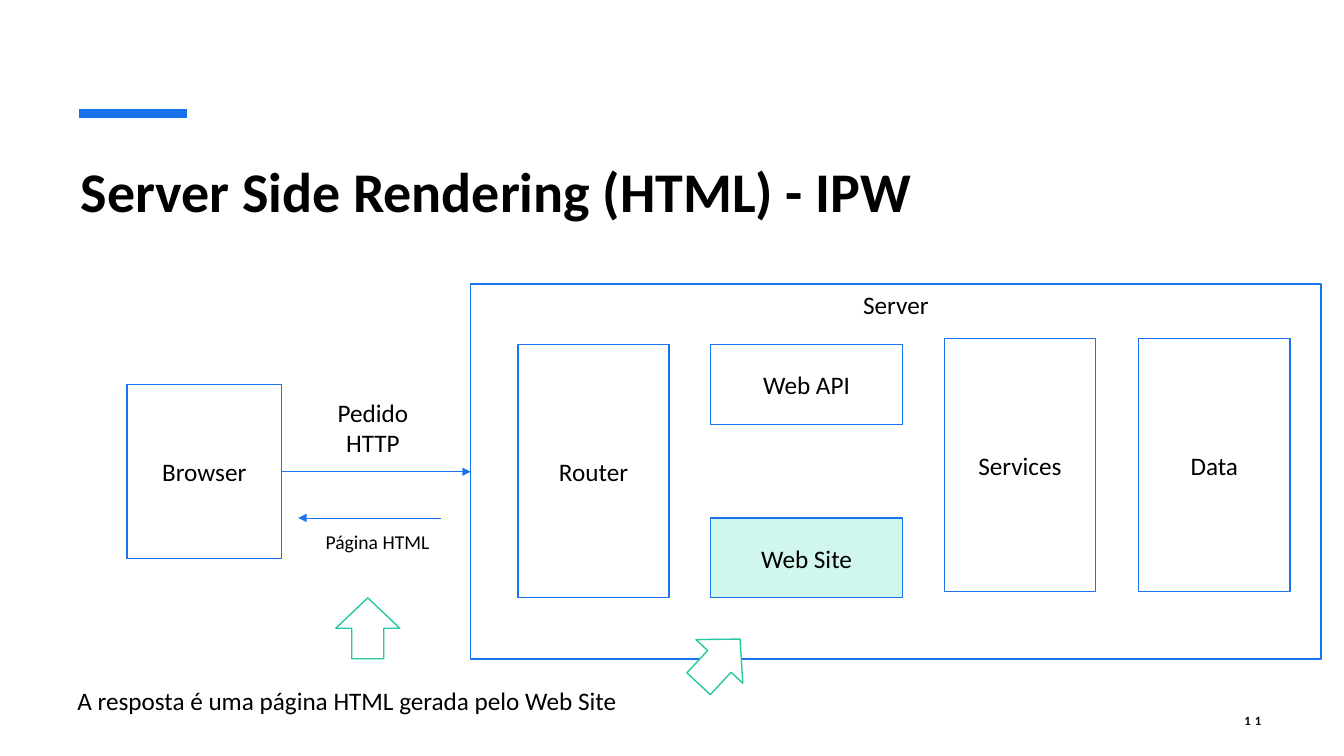
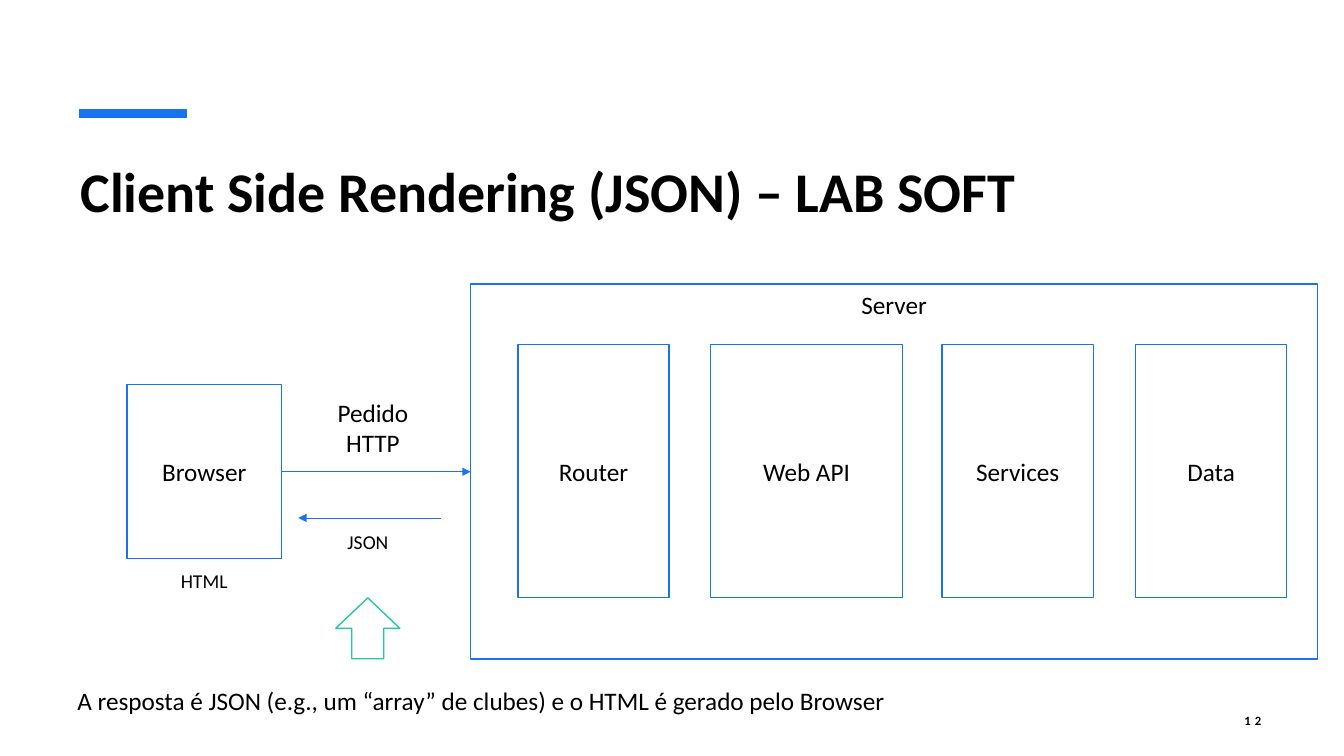
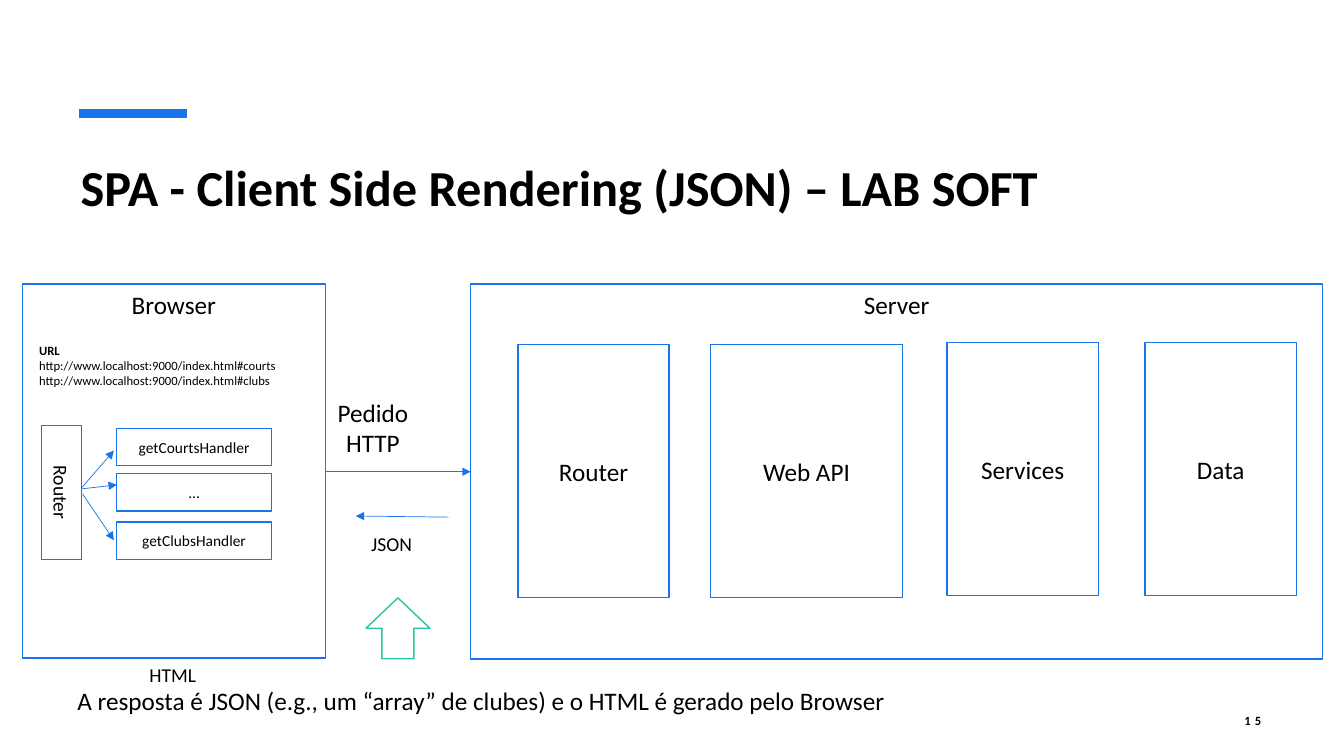
from lxml.etree import SubElement
from pptx import Presentation
from pptx.dml.color import RGBColor
from pptx.enum.shapes import MSO_CONNECTOR, MSO_SHAPE
from pptx.enum.text import MSO_ANCHOR, MSO_AUTO_SIZE, PP_ALIGN
from pptx.oxml.ns import qn
from pptx.util import Pt

FONT = "Calibri"
BLACK, WHITE, BLUE, GREEN, MINT = "000000", "FFFFFF", "1973EB", "25C8A2", "D1F6EE"
SERVER_LEFT, SERVER_TOP, SERVER_HEIGHT = 336.2, 203, 267.8
COLUMN_TOP, COLUMN_WIDTH, COLUMN_HEIGHT = 246.2, 108, 180.7
API_LEFT, API_WIDTH, HALF_HEIGHT = 507.6, 137, 57
REQUEST_Y = 337
JSON_ANSWER = "A resposta é JSON (e.g., um “array” de clubes) e o HTML é gerado pelo Browser"


def paint(color_format, color):
    """Set a colour from a hex string."""
    color_format.rgb = RGBColor.from_string(color)


def write(frame, text, size, align=PP_ALIGN.CENTER, bold=False):
    """Write one paragraph per line of text in the shared font."""
    frame.text = text
    for para in frame.paragraphs:
        para.alignment = align
        para.font.name = FONT
        para.font.size = Pt(size)
        para.font.bold = bold
        paint(para.font.color, BLACK)


def add_figure(page, kind, left, top, width, height, line, fill=WHITE):
    """Add a flat, outlined preset shape."""
    figure = page.shapes.add_shape(kind, Pt(left), Pt(top), Pt(width), Pt(height))
    figure.shadow.inherit = False
    figure.fill.solid()
    paint(figure.fill.fore_color, fill)
    paint(figure.line.color, line)
    figure.line.width = Pt(1)
    return figure


def add_box(page, text, left, top, width, height, size=18, fill=WHITE, anchor=MSO_ANCHOR.MIDDLE):
    """Add a labelled rectangle."""
    box = add_figure(page, MSO_SHAPE.RECTANGLE, left, top, width, height, BLUE, fill)
    box.text_frame.vertical_anchor = anchor
    write(box.text_frame, text, size)
    return box


def add_up_arrow(page, left, top=427, rotation=0):
    """Add a green block arrow."""
    arrow = add_figure(page, MSO_SHAPE.UP_ARROW, left, top, 45.7, 43.5, GREEN)
    arrow.rotation = rotation


def add_label(page, text, left, top, width, height, size=18, align=PP_ALIGN.CENTER, wrap=False):
    """Add a text box and return its frame."""
    box = page.shapes.add_textbox(Pt(left), Pt(top), Pt(width), Pt(height))
    frame = box.text_frame
    frame.word_wrap = wrap
    frame.auto_size = MSO_AUTO_SIZE.SHAPE_TO_FIT_TEXT
    write(frame, text, size, align)
    return frame


def add_line(page, start, end, width=0.5, arrow=True):
    """Add a blue line, with an arrowhead at its end if wanted."""
    line = page.shapes.add_connector(MSO_CONNECTOR.STRAIGHT, *map(Pt, start + end))
    paint(line.line.color, BLUE)
    line.line.width = Pt(width)
    if arrow:
        SubElement(line.line._get_or_add_ln(), qn("a:tailEnd"), type="triangle")
    SubElement(line._element.spPr, qn("a:effectLst"))


def add_page(deck, title, number, size=40):
    """Add a slide with accent line, title and page number."""
    page = deck.slides.add_slide(deck.slide_layouts[5])
    add_line(page, (56.4, 81.2), (133.4, 81.2), 6, False)
    heading = page.shapes.title
    heading.left, heading.top, heading.width, heading.height = map(Pt, (50.4, 108, 857.5, 86.4))
    heading.text_frame.vertical_anchor = MSO_ANCHOR.TOP
    heading.text_frame.auto_size = MSO_AUTO_SIZE.NONE
    write(heading.text_frame, title, size, PP_ALIGN.LEFT, True)
    frame = add_label(page, number, 851, 500.4, 57, 28.8, 9, PP_ALIGN.RIGHT, True)
    frame.auto_size = MSO_AUTO_SIZE.NONE
    frame.vertical_anchor = MSO_ANCHOR.MIDDLE
    span = frame.paragraphs[0].runs[0]
    span.font.bold = True
    span.font._element.set("spc", "300")
    return page


def add_server(page, width, services_left, data_left, back_top, api_height=COLUMN_HEIGHT):
    """Draw the server frame and its four parts."""
    add_box(page, "Server", SERVER_LEFT, SERVER_TOP, width, SERVER_HEIGHT, anchor=MSO_ANCHOR.TOP)
    add_box(page, "Router", 370, COLUMN_TOP, COLUMN_WIDTH, COLUMN_HEIGHT)
    add_box(page, "Web API", API_LEFT, COLUMN_TOP, API_WIDTH, api_height)
    add_box(page, "Services", services_left, back_top, COLUMN_WIDTH, COLUMN_HEIGHT)
    add_box(page, "Data", data_left, back_top, COLUMN_WIDTH, COLUMN_HEIGHT)


def add_exchange(page, browser_right, answer):
    """Draw the HTTP request and the sentence on its answer."""
    add_line(page, (browser_right, REQUEST_Y), (SERVER_LEFT, REQUEST_Y))
    add_label(page, "Pedido\nHTTP", 232.2, 280, 68.4, 51)
    add_label(page, answer, 48.2, 486, 640, 29, align=PP_ALIGN.LEFT, wrap=True)


def add_simple_browser(page):
    """Draw the plain browser box and the answer arrows."""
    add_box(page, "Browser", 90.7, 274.5, 110.4, 124.4)
    add_line(page, (315.2, 370), (213, 370))
    add_up_arrow(page, 239.9)


def add_single_page_browser(page):
    """Draw the browser with its own router and handlers."""
    add_box(page, "Browser", 16, SERVER_TOP, 216.4, 267.2, anchor=MSO_ANCHOR.TOP)
    router = add_box(page, "Router", -4, 337.5, 95.8, 28.8, 14)
    router.rotation = 90
    handlers = (
        ("getCourtsHandler", 306, (58.3, 348.5), (81.4, 321.8)),
        ("...", 338.4, (58.3, 349.2), (83.5, 346.3)),
        ("getClubsHandler", 373, (59, 352.8), (81.4, 385.9)),
    )
    for name, top, start, end in handlers:
        add_box(page, name, 83.3, top, 110.7, 26.6, 11)
        add_line(page, start, end)
    urls = "\n".join(f"http://www.localhost:9000/index.html#{view}" for view in ("courts", "clubs"))
    frame = add_label(page, "URL\n" + urls, 20.9, 241.2, 210, 40.3, 9, PP_ALIGN.LEFT, True)
    frame.paragraphs[0].font.bold = True


def main():
    """Build and save the deck."""
    deck = Presentation()
    deck.slide_width, deck.slide_height = Pt(960), Pt(540)

    page = add_page(deck, "Server Side Rendering (HTML) - IPW", "11")
    add_server(page, 607.5, 674.6, 813.4, 242, HALF_HEIGHT)
    add_box(page, "Web Site", API_LEFT, 370, API_WIDTH, HALF_HEIGHT, fill=MINT)
    add_simple_browser(page)
    add_exchange(page, 201.1, "A resposta é uma página HTML gerada pelo Web Site")
    add_label(page, "Página HTML", 221.8, 375.1, 95.8, 24.5, 14)
    add_up_arrow(page, 491, 450.7, 42.9)

    page = add_page(deck, "Client Side Rendering (JSON) – LAB SOFT", "12")
    add_server(page, 605, 673, 811.2, COLUMN_TOP)
    add_simple_browser(page)
    add_exchange(page, 201.1, JSON_ANSWER)
    add_label(page, "HTML", 121, 402.5, 49.7, 24.5, 14)
    add_label(page, "JSON", 238, 375, 49.7, 24.5, 14)

    page = add_page(deck, "SPA - Client Side Rendering (JSON) – LAB SOFT", "15", 36)
    add_server(page, 608.5, 676.6, 818, 244.6)
    add_single_page_browser(page)
    add_exchange(page, 232.4, JSON_ANSWER)
    add_line(page, (320.4, 369.4), (254.2, 368.6))
    add_up_arrow(page, 261.4)
    add_label(page, "HTML", 98.6, 470.2, 49.7, 24.5, 14)
    add_label(page, "JSON", 254.9, 376.6, 49.7, 24.5, 14)

    deck.save("out.pptx")


if __name__ == "__main__":
    main()
